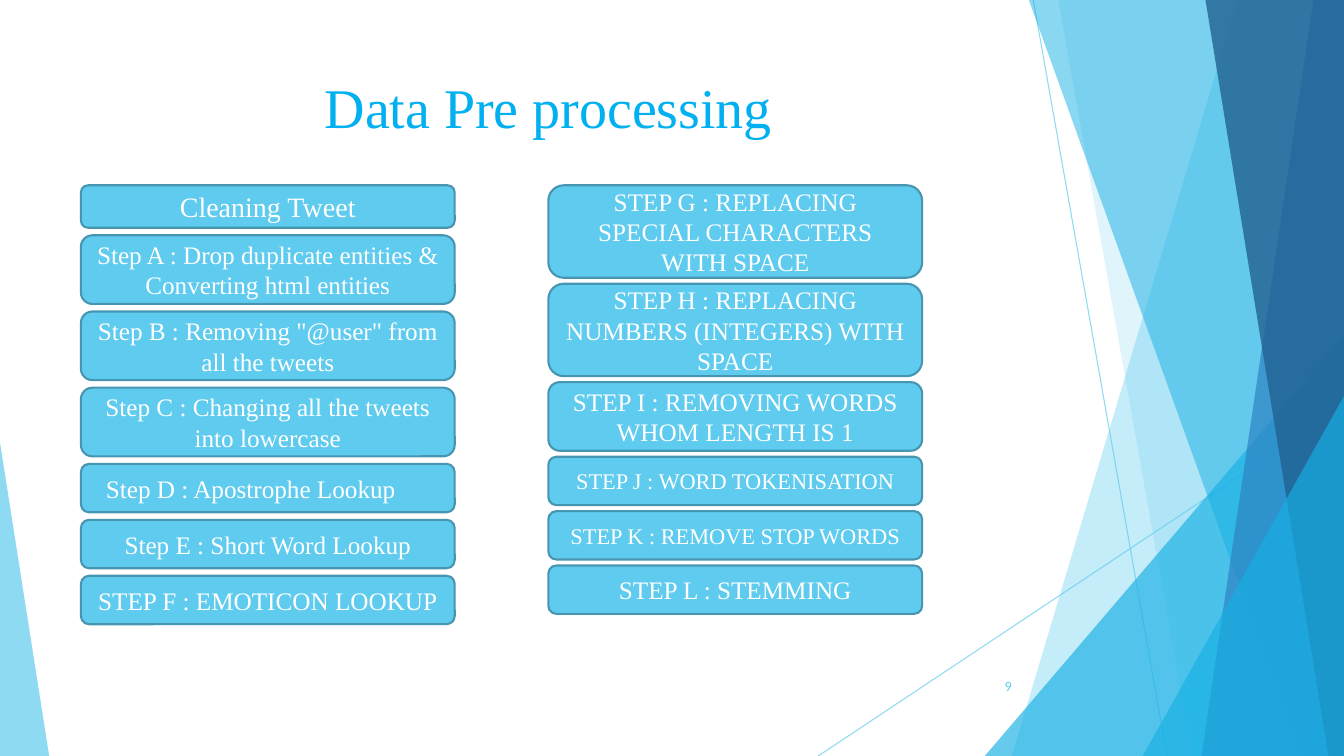
"""Build the "Data Pre processing" slide with its faceted blue border."""
from pptx import Presentation
from pptx import util as u
from pptx.dml.color import RGBColor
from pptx.enum import shapes, text
from pptx.oxml.ns import qn
from lxml import etree

WIDTH, HEIGHT = 33.87, 19.05
SKY, AZURE = "5FCBEF", "17B0E4"
SERIF = "Times New Roman"


def paint(shape, fill, colour, opacity=100):
    fill.solid()
    fill.fore_color.rgb = RGBColor.from_string(colour)
    if opacity < 100:
        for node in shape._element.iter(qn("a:srgbClr")):
            etree.SubElement(node, qn("a:alpha")).set("val", str(opacity * 1000))


def write(shape, words, size, colour, font=SERIF, align=text.PP_ALIGN.CENTER,
          anchor=text.MSO_ANCHOR.MIDDLE, indent=0.25):
    frame = shape.text_frame
    frame.word_wrap = True
    frame.vertical_anchor = anchor
    frame.margin_left = u.Cm(indent)
    paragraph = frame.paragraphs[0]
    paragraph.alignment = align
    run = paragraph.add_run()
    run.text = words
    run.font.size = u.Pt(size)
    run.font.name = font
    run.font.color.rgb = RGBColor.from_string(colour)


presentation = Presentation()
presentation.slide_width, presentation.slide_height = u.Cm(WIDTH), u.Cm(HEIGHT)
slide = presentation.slides.add_slide(presentation.slide_layouts[6])

for ends in [(26.04, 0, 29.41, HEIGHT), (WIDTH, 10.24, 20.62, HEIGHT)]:
    ray = slide.shapes.add_connector(shapes.MSO_CONNECTOR.STRAIGHT, *map(u.Cm, ends))
    ray.line.width = u.Pt(0.75)
    paint(ray, ray.line.fill, SKY, 70)
    etree.SubElement(ray._element.spPr, qn("a:effectLst"))

# Ribbons: top x, bottom x. Triangles: left, top, width, apex position.
facets = [
    ((31.19, 25.5), SKY, 36),
    ((26.67, 30.05), SKY, 20),
    ((24.82, 8.46, 9.05, 1), AZURE, 66),
    ((25.93, 32.79), AZURE, 50),
    ((33.1, 30.28), "2E83C3", 70),
    ((30.38, 33.48), "226292", 80),
    ((28.8, 9.98, 5.07, 1), AZURE, 66),
    ((0, 11.15, 1.24, 0), SKY, 70),
]
for geometry, colour, opacity in facets:
    if len(geometry) == 2:
        top_x, bottom_x = geometry
        builder = slide.shapes.build_freeform(u.Cm(top_x), 0)
        corners = [(WIDTH, 0), (WIDTH, HEIGHT), (bottom_x, HEIGHT)]
        builder.add_line_segments([(u.Cm(x), u.Cm(y)) for x, y in corners])
        facet = builder.convert_to_shape()
    else:
        left, top, width, apex = geometry
        facet = slide.shapes.add_shape(
            shapes.MSO_SHAPE.ISOSCELES_TRIANGLE,
            u.Cm(left), u.Cm(top), u.Cm(width), u.Cm(HEIGHT - top))
        facet.adjustments[0] = apex
    facet.shadow.inherit = False
    facet.line.fill.background()
    paint(facet, facet.fill, colour, opacity)

title = slide.shapes.add_textbox(u.Cm(1.88), u.Cm(1.7), u.Cm(23.88), u.Cm(3.66))
write(title, "Data Pre processing", 40, "00B0F0", anchor=text.MSO_ANCHOR.TOP)
number = slide.shapes.add_textbox(u.Cm(23.85), u.Cm(16.79), u.Cm(1.91), u.Cm(1.02))
write(number, "9", 9, SKY, font="Lato", align=text.PP_ALIGN.RIGHT)

columns = [
    (2.04, 0.19, [
        ("Cleaning Tweet", 1.07, 20),
        ("Step A : Drop duplicate entities & Converting html entities", 1.73, 18),
        ("Step B : Removing \"@user\" from all the tweets", 1.73, 18),
        ("Step C : Changing all the tweets into lowercase", 1.73, 18),
        ("Step D : Apostrophe Lookup", 1.22, 18),
        ("Step E : Short Word Lookup", 1.22, 18),
        ("STEP F : EMOTICON LOOKUP", 1.22, 18),
    ]),
    (13.82, 0.15, [
        ("STEP G : REPLACING SPECIAL CHARACTERS WITH SPACE", 2.33, 18),
        ("STEP H : REPLACING NUMBERS (INTEGERS) WITH SPACE", 2.33, 18),
        ("STEP I : REMOVING WORDS WHOM LENGTH IS 1", 1.73, 18),
        ("STEP J : WORD TOKENISATION", 1.22, 16),
        ("STEP K : REMOVE STOP WORDS", 1.22, 16),
        ("STEP L : STEMMING", 1.22, 18),
    ]),
]
for left, gap, steps in columns:
    top = 4.67
    for words, height, size in steps:
        box = slide.shapes.add_shape(
            shapes.MSO_SHAPE.ROUNDED_RECTANGLE,
            u.Cm(left), u.Cm(top), u.Cm(9.42), u.Cm(height))
        box.shadow.inherit = False
        paint(box, box.fill, SKY)
        paint(box, box.line.fill, "4696B1")
        box.line.width = u.Pt(1.5)
        if words.startswith("Step D"):
            write(box, words, size, "FFFFFF", align=text.PP_ALIGN.LEFT, indent=0.57)
        else:
            write(box, words, size, "FFFFFF")
        top += height + gap

presentation.save("out.pptx")
